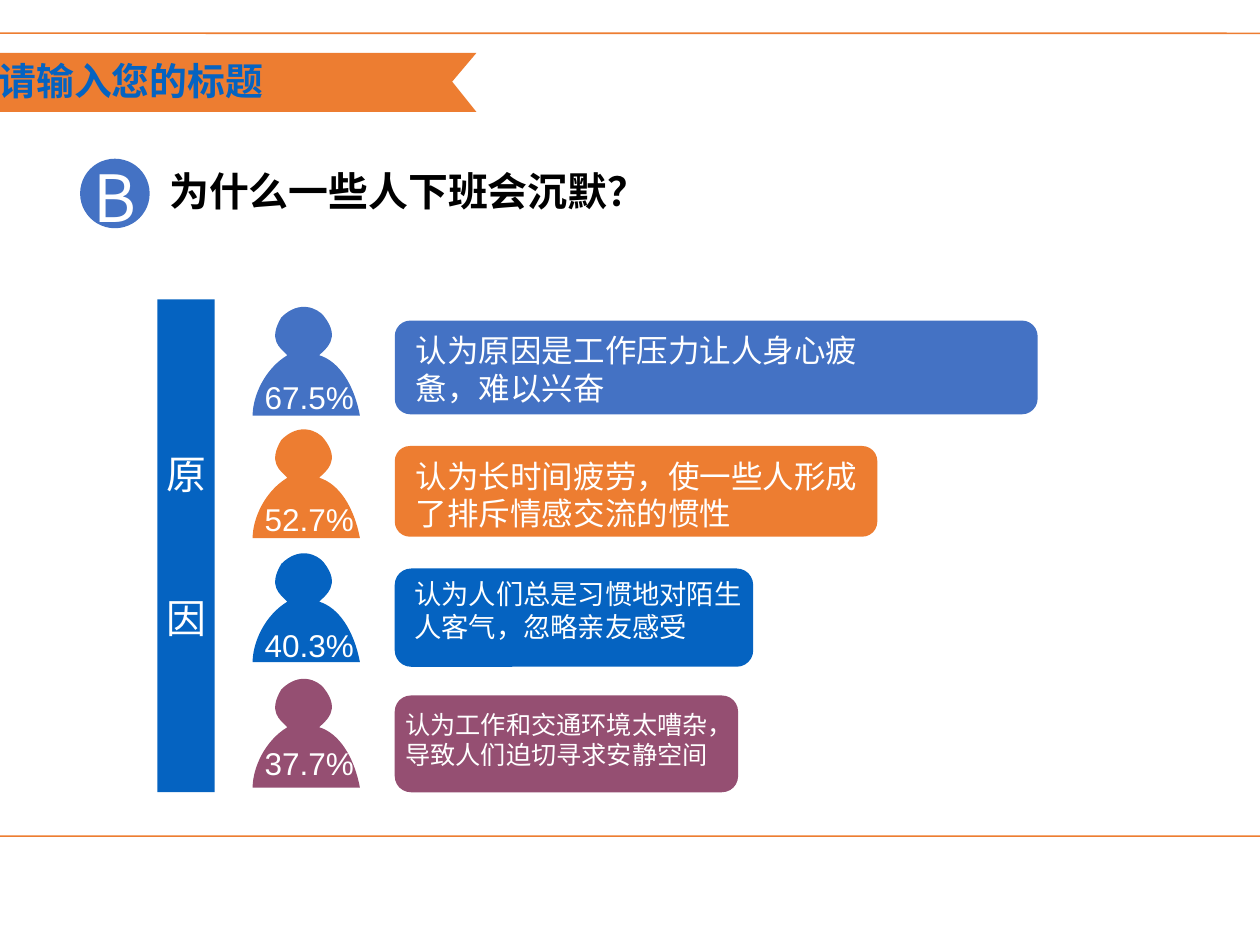
from typing import NamedTuple

from lxml.etree import SubElement
from pptx import Presentation
from pptx.dml.color import RGBColor
from pptx.enum.shapes import MSO_SHAPE as Preset
from pptx.enum.text import MSO_ANCHOR as Anchor, MSO_AUTO_SIZE as AutoSize, PP_ALIGN as Align
from pptx.oxml.ns import qn
from pptx.util import Emu, Pt

PX = 9144
BLUE = RGBColor(0x44, 0x72, 0xC4)
ORANGE = RGBColor(0xED, 0x7D, 0x31)
DEEP_BLUE = RGBColor(0x05, 0x63, 0xC1)
PLUM = RGBColor(0x95, 0x4F, 0x72)
WHITE = RGBColor(0xFF, 0xFF, 0xFF)
BLACK = RGBColor(0, 0, 0)

PERSON_CURVES = [
    (23, 37),
    (18, 32), (10, 27), (19, 12),
    (31, 0), (43, 6), (47, 11),
    (59, 26), (48, 33), (44, 37),
    (57, 41), (67, 56), (71, 77),
    (47, 77), (23, 77), (0, 77),
    (0, 64), (8, 46), (23, 37),
]


class Reason(NamedTuple):
    share: str
    text: str
    color: RGBColor
    person_top: int
    share_top: int
    bar: tuple
    text_box: tuple
    size: int


REASONS = [
    Reason("67.5%", "认为原因是工作压力让人身心疲惫，难以兴奋", BLUE,
           198, 246, (261, 212, 425, 62), (267, 215, 312, 59), 15),
    Reason("52.7%", "认为长时间疲劳，使一些人形成了排斥情感交流的惯性", ORANGE,
           279, 327, (261, 295, 319, 60), (267, 298, 312, 59), 15),
    Reason("40.3%", "认为人们总是习惯地对陌生人客气，忽略亲友感受", DEEP_BLUE,
           361, 410, (261, 376, 237, 65), (266, 378, 232, 52), 13),
    Reason("37.7%", "认为工作和交通环境太嘈杂，导致人们迫切寻求安静空间", PLUM,
           444, 488, (261, 460, 227, 64), (260, 465, 232, 48), 12),
]


def emu(box):
    return [Emu(length * PX) for length in box]


def paint(shape, color):
    shape.shadow.inherit = False
    shape.fill.solid()
    shape.fill.fore_color.rgb = color
    shape.line.fill.background()
    return shape


def add_preset(shapes, preset, box, color):
    return paint(shapes.add_shape(preset, *emu(box)), color)


def add_outline(shapes, points, color):
    start, *rest = [tuple(emu(point)) for point in points]
    builder = shapes.build_freeform(*start, scale=1.0)
    builder.add_line_segments(rest, close=True)
    return paint(builder.convert_to_shape(), color)


def curve_outline(outline):
    lines = list(outline._element.iter(qn("a:lnTo")))
    for first, second, end in zip(lines[::3], lines[1::3], lines[2::3]):
        curve = first.makeelement(qn("a:cubicBezTo"))
        first.addprevious(curve)
        for line in (first, second, end):
            curve.append(line[0])
            line.getparent().remove(line)


def write(frame, lines, size, color, bold=False, wrap=True, font="Arial",
          align=Align.LEFT, anchor=Anchor.TOP, gap=0):
    frame.text = "\n".join(lines)
    frame.auto_size = AutoSize.NONE
    frame.word_wrap = wrap
    frame.vertical_anchor = anchor
    frame.margin_left = frame.margin_right = Emu(8 * PX)
    frame.margin_top = frame.margin_bottom = Emu(4 * PX)
    for index, paragraph in enumerate(frame.paragraphs):
        paragraph.alignment = align
        paragraph.space_before = Pt(gap if index else 0)
        for run in paragraph.runs:
            run.font.name = font
            run.font.size = Pt(size)
            run.font.bold = bold
            run.font.color.rgb = color


def add_label(shapes, box, text, size, color, **style):
    write(shapes.add_textbox(*emu(box)).text_frame, [text], size, color, **style)


def add_frame(shapes, box):
    frame = add_preset(shapes, Preset.ROUNDED_RECTANGLE, box, WHITE)
    frame.adjustments[0] = 0.03
    white = next(frame._element.iter(qn("a:srgbClr")))
    SubElement(white, qn("a:alpha")).set("val", "70000")
    frame.line.color.rgb = ORANGE
    frame.line.width = Pt(0.75)


def add_banner(slide, box):
    left, top, width, height = box
    right, bottom = left + width, top + height
    add_outline(slide.shapes, [
        (left, bottom), (right, bottom), (right - 16, top + height // 2),
        (right, top), (left, top),
    ], ORANGE)
    title = slide.shapes.title
    title.left, title.top, title.width, title.height = emu((left + 40, top - 1, 269, 38))
    write(title.text_frame, ["请输入您的标题"], 18, DEEP_BLUE, bold=True)
    slide.shapes._spTree.append(title._element)


def add_question(shapes, box):
    left, top, width, height = box
    add_preset(shapes, Preset.OVAL, (left, top, height, height), BLUE)
    add_label(shapes, (left + 1, top - 5, 43, 60), "B", 31, WHITE,
              wrap=False, font="Noto Sans CJK SC")
    add_label(shapes, (left + 51, top + 1, width - 51, 40), "为什么一些人下班会沉默？",
              19, BLACK, bold=True, wrap=False)


def add_person(shapes, left, reason):
    person = shapes.add_group_shape().shapes
    points = [(left + x, reason.person_top + y) for x, y in PERSON_CURVES]
    curve_outline(add_outline(person, points, reason.color))
    add_label(person, (left, reason.share_top, 76, 33), reason.share, 15, WHITE, wrap=False)


def add_reasons(shapes, box):
    left, top, width, height = box
    heading = add_preset(shapes, Preset.RECTANGLE, (left, top, 38, height), DEEP_BLUE)
    write(heading.text_frame, ["原", "因"], 19, WHITE, wrap=False,
          align=Align.CENTER, anchor=Anchor.MIDDLE, gap=46)
    for reason in REASONS:
        add_preset(shapes, Preset.FLOWCHART_ALTERNATE_PROCESS, reason.bar, reason.color)
        add_label(shapes, reason.text_box, reason.text, reason.size, WHITE)
        add_person(shapes, left + 63, reason)


def main():
    deck = Presentation()
    deck.slide_width, deck.slide_height = emu((833, 625))
    slide = deck.slides.add_slide(deck.slide_layouts[5])
    add_frame(slide.shapes, (-28, 22, 894, 531))
    add_banner(slide, (-49, 35, 364, 39))
    add_question(slide.shapes, (53, 105, 387, 46))
    add_reasons(slide.shapes, (104, 198, 582, 326))
    deck.save("out.pptx")


if __name__ == "__main__":
    main()
